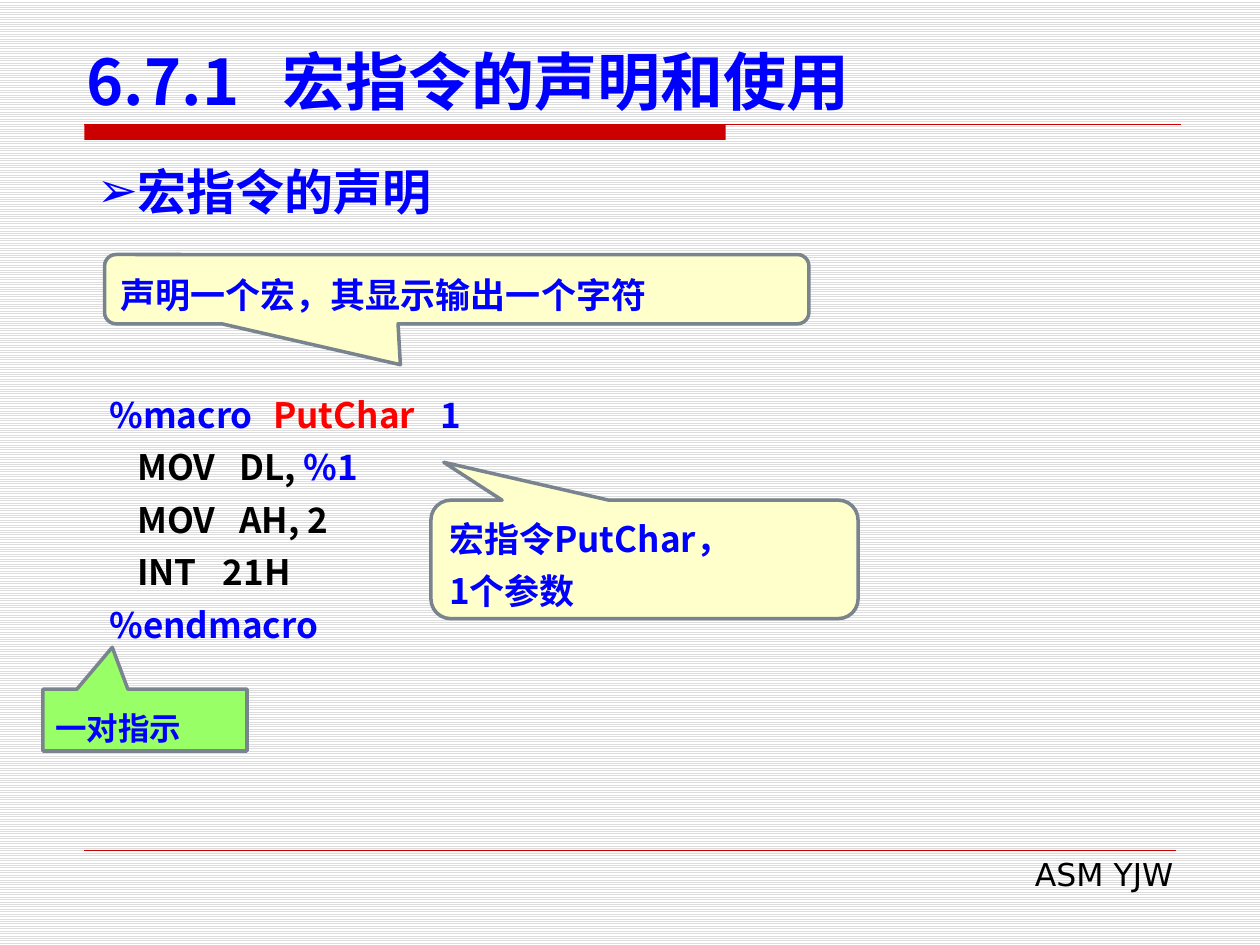
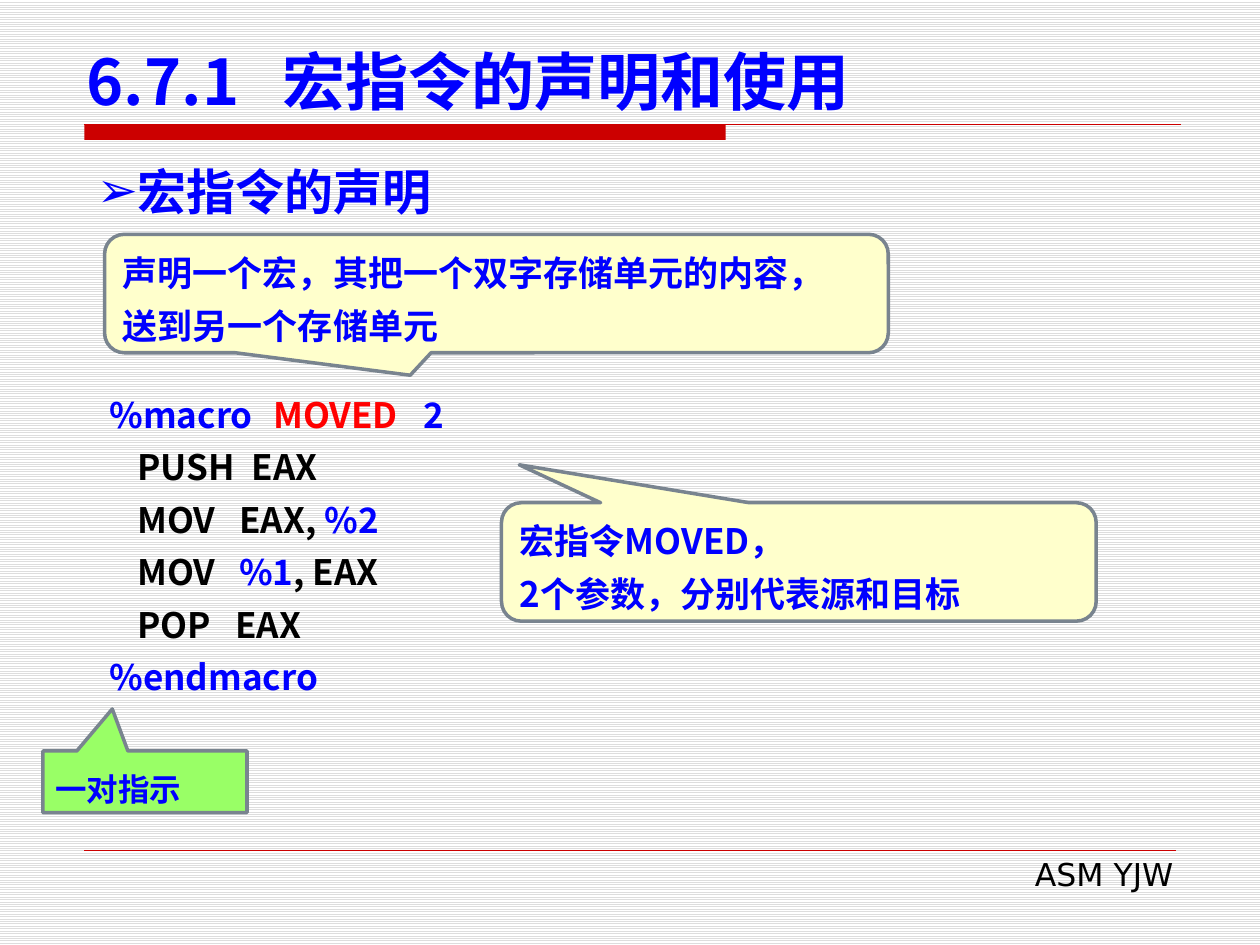
"""Build two slides on declaring assembly macros."""
from dataclasses import dataclass

from lxml.etree import SubElement
from pptx import Presentation
from pptx.dml.color import RGBColor
from pptx.enum.dml import MSO_PATTERN
from pptx.enum.shapes import MSO_CONNECTOR, MSO_SHAPE
from pptx.enum.text import MSO_ANCHOR, PP_ALIGN
from pptx.oxml.ns import qn
from pptx.util import Emu, Inches, Pt

WIDTH, HEIGHT = Inches(10), Inches(7.5)
COLUMN, ROW = WIDTH / 100, HEIGHT / 75
BLUE = RGBColor(0x00, 0x00, 0xFF)
RED = RGBColor(0xFF, 0x00, 0x00)
BLACK = RGBColor(0x00, 0x00, 0x00)
WHITE = RGBColor(0xFF, 0xFF, 0xFF)
STRIPE = RGBColor(0xDD, 0xDD, 0xDD)
CRIMSON = RGBColor(0xCC, 0x00, 0x00)
CREAM = RGBColor(0xFF, 0xFF, 0xCC)
GREEN = RGBColor(0x99, 0xFF, 0x66)
SLATE = RGBColor(0x79, 0x84, 0x8F)
CJK_FONT, LATIN_FONT = "Noto Sans CJK SC", "DejaVu Sans"
LEADING = Pt(30)
INDENT = 2.2


@dataclass(frozen=True)
class Box:
    """Place on the grid, in columns and rows."""
    left: float
    top: float
    width: float
    height: float

    def emu(self) -> tuple[Emu, ...]:
        """Return the place in slide units."""
        return (Emu(round(self.left * COLUMN)), Emu(round(self.top * ROW)),
                Emu(round(self.width * COLUMN)), Emu(round(self.height * ROW)))


@dataclass(frozen=True)
class Style:
    """Look of a paragraph."""
    size: int
    font: str = CJK_FONT
    color: RGBColor = BLUE
    bold: bool = True
    leading: Pt | None = None
    align: PP_ALIGN = PP_ALIGN.LEFT


@dataclass(frozen=True)
class CodeLine:
    """Coloured pieces of a code line and its tab stops in columns."""
    pieces: tuple[tuple[str, RGBColor], ...]
    stops: tuple[float, ...] = ()


@dataclass(frozen=True)
class Callout:
    """Speech bubble with its tip as shares of the bubble's size."""
    box: Box
    tip: tuple[float, float]
    lines: tuple[str, ...]


@dataclass(frozen=True)
class Lesson:
    """Content of one slide."""
    purpose: Callout
    signature: Callout
    code: tuple[CodeLine, ...]
    pair_top: float


TITLE = Style(36)
TOPIC = Style(28, LATIN_FONT)
FOOTER = Style(18, LATIN_FONT, BLACK, False, align=PP_ALIGN.RIGHT)
NOTE = Style(20, leading=LEADING)
PAIR = Style(18, LATIN_FONT, leading=LEADING)


def header(name: str, count: str, count_stop: float) -> CodeLine:
    """Return the opening line of a macro."""
    return CodeLine((("%macro\t", BLUE), (f"{name}\t", RED), (count, BLUE)),
                    (13, count_stop))


def instruction(word: str, stop: float, *operands: tuple[str, RGBColor]) -> CodeLine:
    """Return an indented instruction with its operands."""
    return CodeLine(((f"\t{word}\t", BLACK), *operands), (INDENT, stop))


ENDING = CodeLine((("%endmacro", BLUE),))
LESSONS = (
    Lesson(
        Callout(Box(8.3, 20.2, 55.9, 5.5), (-0.08, 1.09),
                ("声明一个宏，其显示输出一个字符",)),
        Callout(Box(34.2, 39.7, 33.9, 9.4), (-0.47, -0.82),
                ("宏指令PutChar，", "1个参数")),
        (header("PutChar", "1", 26.3),
         instruction("MOV", 10.3, ("DL, ", BLACK), ("%1", BLUE)),
         instruction("MOV", 10.3, ("AH, 2", BLACK)),
         instruction("INT", 9, ("21H", BLACK)),
         ENDING),
        54.7),
    Lesson(
        Callout(Box(8.3, 18.6, 62.2, 9.4), (-0.11, 0.69),
                ("声明一个宏，其把一个双字存储单元的内容，", "送到另一个存储单元")),
        Callout(Box(39.8, 39.9, 47.2, 9.4), (-0.47, -0.82),
                ("宏指令MOVED，", "2个参数，分别代表源和目标")),
        (header("MOVED", "2", 24.9),
         instruction("PUSH", 11.3, ("EAX", BLACK)),
         instruction("MOV", 10.3, ("EAX, ", BLACK), ("%2", BLUE)),
         instruction("MOV", 10.3, ("%1", BLUE), (", EAX", BLACK)),
         instruction("POP", 10, ("EAX", BLACK)),
         ENDING),
        59.6),
)


def set_style(paragraph, style: Style, colored: bool = True) -> None:
    """Apply a style to a whole paragraph."""
    paragraph.alignment = style.align
    if style.leading:
        paragraph.line_spacing = style.leading
    font = paragraph.font
    font.name, font.size, font.bold = style.font, Pt(style.size), style.bold
    if colored:
        font.color.rgb = style.color
    defaults = paragraph._p.pPr.find(qn("a:defRPr"))
    SubElement(defaults, qn("a:ea"), typeface=CJK_FONT)


def set_stops(paragraph, stops: tuple[float, ...]) -> None:
    """Give a styled paragraph its tab stops."""
    properties = paragraph._p.pPr
    tabs = SubElement(properties, qn("a:tabLst"))
    for stop in stops:
        SubElement(tabs, qn("a:tab"), pos=str(round(stop * COLUMN)), algn="l")
    properties.find(qn("a:defRPr")).addprevious(tabs)


def set_bullet(paragraph, mark: str) -> None:
    """Give a styled paragraph a bullet."""
    properties = paragraph._p.pPr
    defaults = properties.find(qn("a:defRPr"))
    for tag, key, value in (("a:buFont", "typeface", LATIN_FONT),
                            ("a:buChar", "char", mark)):
        defaults.addprevious(SubElement(properties, qn(tag), {key: value}))


def add_text(slide, box: Box, text: str, style: Style, anchor: MSO_ANCHOR):
    """Add a one-line text box and return its paragraph."""
    frame = slide.shapes.add_textbox(*box.emu()).text_frame
    frame.word_wrap = True
    frame.vertical_anchor = anchor
    paragraph = frame.paragraphs[0]
    paragraph.add_run().text = text
    set_style(paragraph, style)
    return paragraph


def add_rule(slide, left: float, right: float, row: float, weight: float) -> None:
    """Draw a horizontal crimson rule."""
    start, top, span, _ = Box(left, row, right - left, 0).emu()
    rule = slide.shapes.add_connector(MSO_CONNECTOR.STRAIGHT, start, top, start + span, top)
    rule.line.color.rgb = CRIMSON
    rule.line.width = Pt(weight)
    SubElement(rule._element.spPr, qn("a:effectLst"))


def add_callout(slide, callout: Callout, outline: MSO_SHAPE, fill: RGBColor,
                style: Style) -> None:
    """Draw a speech bubble with its lines."""
    bubble = slide.shapes.add_shape(outline, *callout.box.emu())
    bubble.shadow.inherit = False
    bubble.fill.solid()
    bubble.fill.fore_color.rgb = fill
    bubble.line.color.rgb = SLATE
    bubble.line.width = Pt(2)
    bubble.adjustments[0], bubble.adjustments[1] = callout.tip
    frame = bubble.text_frame
    frame.word_wrap = True
    frame.vertical_anchor = MSO_ANCHOR.MIDDLE
    for index, line in enumerate(callout.lines):
        paragraph = frame.add_paragraph() if index else frame.paragraphs[0]
        paragraph.add_run().text = line
        set_style(paragraph, style)


def add_code(slide, code: tuple[CodeLine, ...]) -> None:
    """Write the macro's source lines."""
    box = Box(7.7, 29.9, 60.7, 1 + 4.2 * len(code))
    frame = slide.shapes.add_textbox(*box.emu()).text_frame
    frame.word_wrap = True
    for index, line in enumerate(code):
        paragraph = frame.add_paragraph() if index else frame.paragraphs[0]
        for text, color in line.pieces:
            run = paragraph.add_run()
            run.text = text
            run.font.color.rgb = color
        set_style(paragraph, NOTE, colored=False)
        if line.stops:
            set_stops(paragraph, line.stops)


def add_frame(slide) -> None:
    """Draw the title, rules, topic and footer that every slide shares."""
    band = slide.shapes.add_shape(MSO_SHAPE.RECTANGLE, *Box(6.7, 9.9, 50.9, 1.2).emu())
    band.shadow.inherit = False
    band.fill.solid()
    band.fill.fore_color.rgb = CRIMSON
    band.line.fill.background()
    add_rule(slide, 6.7, 93.7, 9.9, 0.75)
    add_rule(slide, 6.7, 93.3, 67.5, 0.25)
    add_text(slide, Box(38.2, 67.4, 55.9, 4), "ASM YJW", FOOTER, MSO_ANCHOR.TOP)
    title = add_text(slide, Box(5.9, 2.8, 90.6, 7.1), "6.7.1\t宏指令的声明和使用",
                     TITLE, MSO_ANCHOR.BOTTOM)
    set_stops(title, (15.5,))
    topic = add_text(slide, Box(6.7, 12.3, 86.6, 5.7), "宏指令的声明",
                     TOPIC, MSO_ANCHOR.MIDDLE)
    set_bullet(topic, "➢")


def add_lesson(presentation, lesson: Lesson) -> None:
    """Add one slide with its macro and callouts."""
    slide = presentation.slides.add_slide(presentation.slide_layouts[6])
    add_frame(slide)
    for callout in (lesson.purpose, lesson.signature):
        add_callout(slide, callout, MSO_SHAPE.ROUNDED_RECTANGULAR_CALLOUT, CREAM, NOTE)
    pair = Callout(Box(3.4, lesson.pair_top, 16.2, 4.9), (-0.16, -1.18), ("一对指示",))
    add_callout(slide, pair, MSO_SHAPE.RECTANGULAR_CALLOUT, GREEN, PAIR)
    add_code(slide, lesson.code)


def main() -> None:
    """Build and save the presentation."""
    presentation = Presentation()
    presentation.slide_width, presentation.slide_height = WIDTH, HEIGHT
    backdrop = presentation.slide_master.background.fill
    backdrop.patterned()
    backdrop.pattern = MSO_PATTERN.LIGHT_HORIZONTAL
    backdrop.fore_color.rgb = STRIPE
    backdrop.back_color.rgb = WHITE
    for lesson in LESSONS:
        add_lesson(presentation, lesson)
    presentation.save("out.pptx")


if __name__ == "__main__":
    main()
